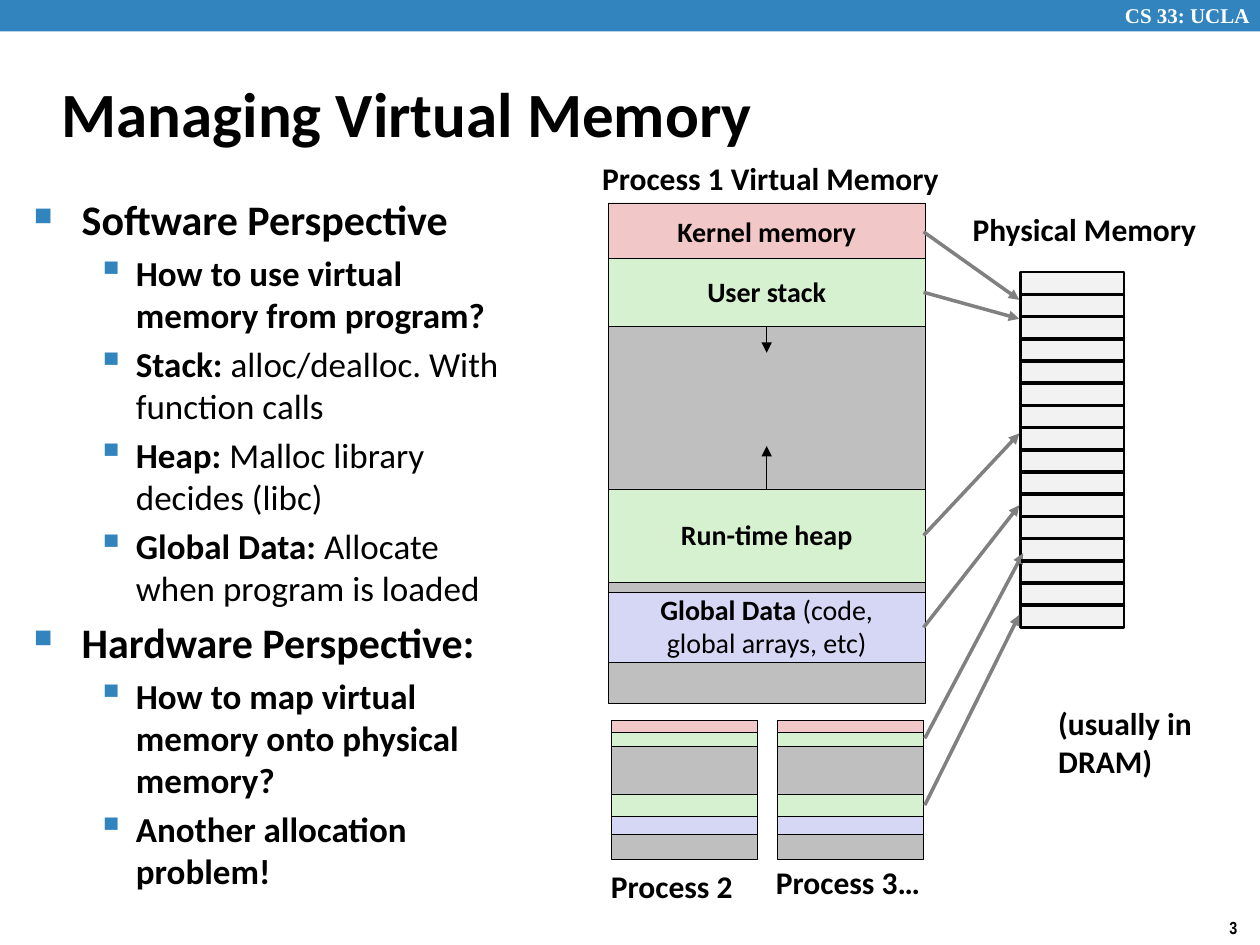
from lxml import etree
from pptx import Presentation
from pptx.dml.color import RGBColor
from pptx.enum.shapes import MSO_CONNECTOR, MSO_SHAPE
from pptx.enum.text import MSO_ANCHOR, MSO_AUTO_SIZE, PP_ALIGN
from pptx.oxml.ns import qn
from pptx.util import Inches, Pt

RECT = MSO_SHAPE.RECTANGLE
STRAIGHT = MSO_CONNECTOR.STRAIGHT
MIDDLE = MSO_ANCHOR.MIDDLE
NO_FIT = MSO_AUTO_SIZE.NONE
LEFT, CENTER = PP_ALIGN.LEFT, PP_ALIGN.CENTER

BLUE = RGBColor(0x32, 0x84, 0xBF)
BLACK = RGBColor(0, 0, 0)
WHITE = RGBColor(0xFF, 0xFF, 0xFF)
GRAY = RGBColor(0xBF, 0xBF, 0xBF)
ARROW_GRAY = RGBColor(0x80, 0x80, 0x80)
FRAME_GRAY = RGBColor(0xF2, 0xF2, 0xF2)
PINK = RGBColor(0xF1, 0xC7, 0xC7)
GREEN = RGBColor(0xD5, 0xF1, 0xCF)
LAVENDER = RGBColor(0xD6, 0xD6, 0xF5)

BULLETS = [
    (0, "Software Perspective", ""),
    (1, "How to use virtual memory from program?", ""),
    (1, "Stack: ", "alloc/dealloc. With function calls"),
    (1, "Heap: ", "Malloc library decides (libc)"),
    (1, "Global Data: ", "Allocate when program is loaded"),
    (0, "Hardware Perspective:", ""),
    (1, "How to map virtual memory onto physical memory?", ""),
    (1, "Another allocation problem!", ""),
]
# Per level: text size, left margin, hanging indent, bullet, bullet size.
LEVELS = [(24, 0.38, 0.38, "■", "60000"), (20, 0.81, 0.31, "▪", "110000")]

# Per band: offset from the top, height, colour, lines of (text, bold) runs.
MAIN_BANDS = [
    (0, 0.47, PINK, [[("Kernel memory", True)]]),
    (2.27, 0.74, GREEN, [[("Run-time heap", True)]]),
    (0.44, 0.54, GREEN, [[("User stack", True)]]),
    (3.09, 0.56, LAVENDER,
     [[("Global Data ", True), ("(code,", False)], [("global arrays, etc)", False)]]),
]
SMALL_BANDS = [
    (0, 0.1, PINK, []),
    (0.58, 0.18, GREEN, []),
    (0.09, 0.11, GREEN, []),
    (0.76, 0.14, LAVENDER, []),
]
MAPPINGS = [
    (7.33, 4.25, 8.09, 3.44),
    (7.33, 2.32, 8.09, 2.53),
    (7.33, 1.84, 8.09, 2.38),
    (7.33, 4.98, 8.09, 4.01),
    (7.34, 5.86, 8.12, 4.39),
    (7.34, 6.39, 8.09, 4.88),
]


def add_run(p, text, size, bold=True, color=BLACK, font="Calibri"):
    """Append a formatted run to a paragraph."""
    r = p.add_run()
    r.text = text
    r.font.name, r.font.size, r.font.bold = font, Pt(size), bold
    r.font.color.rgb = color


def add_label(s, text, x, y, w, h, size=18, wrap=True, **style):
    """Add a one-paragraph text box."""
    tf = s.shapes.add_textbox(Inches(x), Inches(y), Inches(w), Inches(h)).text_frame
    tf.word_wrap = wrap
    add_run(tf.paragraphs[0], text, size, **style)


def add_rect(s, x, y, w, h, fill, line=0.25):
    """Add a flat rectangle, outlined in black unless line is zero."""
    sp = s.shapes.add_shape(RECT, Inches(x), Inches(y), Inches(w), Inches(h))
    sp.shadow.inherit = False
    sp.fill.solid()
    sp.fill.fore_color.rgb = fill
    if line:
        sp.line.color.rgb = BLACK
        sp.line.width = Pt(line)
    else:
        sp.line.fill.background()
    return sp


def add_line(s, x1, y1, x2, y2, color, width, arrow=False):
    """Add a straight line, with an arrowhead at its end on request."""
    c = s.shapes.add_connector(STRAIGHT, Inches(x1), Inches(y1), Inches(x2), Inches(y2))
    c.line.color.rgb = color
    c.line.width = Pt(width)
    if arrow:
        etree.SubElement(c.line._get_or_add_ln(), qn("a:tailEnd"), type="triangle")
    etree.SubElement(c._element.spPr, qn("a:effectLst"))


def add_header(s, w, h):
    """Draw the course bar and the slide number."""
    add_rect(s, 0, 0, w, 0.25, BLUE, line=0)
    add_label(s, "CS 33: UCLA", w - 1.17, -0.03, 1.24, 0.3, 12,
              color=WHITE, font="Times New Roman")
    add_label(s, "3", w - 0.34, h - 0.27, 0.34, 0.27, 10, wrap=False, font="Arial Narrow")


def set_title(s, text, x, y, w, h):
    """Place and format the title placeholder."""
    title = s.shapes.title
    title.left, title.top, title.width, title.height = map(Inches, (x, y, w, h))
    tf = title.text_frame
    tf.auto_size = NO_FIT
    tf.vertical_anchor = MIDDLE
    tf.paragraphs[0].alignment = LEFT
    add_run(tf.paragraphs[0], text, 36)


def set_bullet(p, margin, hang, char, percent):
    """Give a paragraph a hanging blue bullet."""
    pPr = p._p.get_or_add_pPr()
    pPr.set("marL", str(Inches(margin)))
    pPr.set("indent", str(-Inches(hang)))
    color = etree.SubElement(pPr, qn("a:buClr"))
    etree.SubElement(color, qn("a:srgbClr"), val=str(BLUE))
    etree.SubElement(pPr, qn("a:buSzPct"), val=percent)
    etree.SubElement(pPr, qn("a:buChar"), char=char)


def add_bullets(s, x, y, w, h):
    """Add the two-level list of perspectives."""
    tf = s.shapes.add_textbox(Inches(x), Inches(y), Inches(w), Inches(h)).text_frame
    tf.word_wrap = True
    for i, (level, strong, plain) in enumerate(BULLETS):
        p = tf.add_paragraph() if i else tf.paragraphs[0]
        size, margin, hang, char, percent = LEVELS[level]
        p.level = level
        set_bullet(p, margin, hang, char, percent)
        if i:
            p.space_before = Pt(size * 0.2)
        add_run(p, strong, size)
        if plain:
            add_run(p, plain, size, bold=False)


def add_address_space(s, x, y, w, h, bands):
    """Draw a process address space with its coloured bands."""
    add_rect(s, x, y, w, h, GRAY)
    for offset, height, fill, lines in bands:
        tf = add_rect(s, x, y + offset, w, height, fill).text_frame
        tf.word_wrap = False
        tf.vertical_anchor = MIDDLE
        for i, runs in enumerate(lines):
            p = tf.add_paragraph() if i else tf.paragraphs[0]
            p.alignment = CENTER
            p.line_spacing = 0.98
            for text, bold in runs:
                add_run(p, text, 16, bold)


def add_growth_arrows(s, x, y, w):
    """Show the stack growing down and the heap growing up."""
    middle = x + w / 2
    for start, end in ((2.27, 1.93), (0.98, 1.19)):
        add_line(s, middle, y + start, middle, y + end, BLACK, 0.25, arrow=True)


def add_physical_memory(s, x, y, w, h, frames=16):
    """Draw physical memory split into equal page frames."""
    add_rect(s, x, y, w, h, FRAME_GRAY, line=1.5)
    for mapping in MAPPINGS:
        add_line(s, *mapping, ARROW_GRAY, 2, arrow=True)
    for i in range(1, frames):
        line_y = y + h * i / frames
        add_line(s, x, line_y, x + w, line_y, BLACK, 2)
    add_label(s, "Physical Memory", x - 0.48, y - 0.54, 2.05, 0.4)
    add_label(s, "(usually in DRAM)", x + 0.2, y + 3.38, 1.31, 0.71)


def main():
    """Build and save the slide."""
    prs = Presentation()
    prs.slide_width, prs.slide_height = Inches(10), Inches(7.5)
    s = prs.slides.add_slide(prs.slide_layouts[5])
    add_header(s, 10, 7.5)
    set_title(s, "Managing Virtual Memory", 0.39, 0.48, 8.3, 0.83)
    add_bullets(s, 0.17, 1.49, 3.89, 5.74)
    add_address_space(s, 4.83, 1.61, 2.51, 3.97, MAIN_BANDS)
    add_growth_arrows(s, 4.83, 1.61, 2.51)
    for x in (4.85, 6.17):
        add_address_space(s, x, 5.72, 1.16, 1.1, SMALL_BANDS)
    add_label(s, "Process 1 Virtual Memory", 4.68, 1.21, 2.98, 0.4)
    add_label(s, "Process 2", 4.75, 6.83, 1.18, 0.4, wrap=False)
    add_label(s, "Process 3…", 6.06, 6.8, 1.38, 0.4, wrap=False)
    add_physical_memory(s, 8.1, 2.16, 0.82, 2.82)
    prs.save("out.pptx")


if __name__ == "__main__":
    main()
